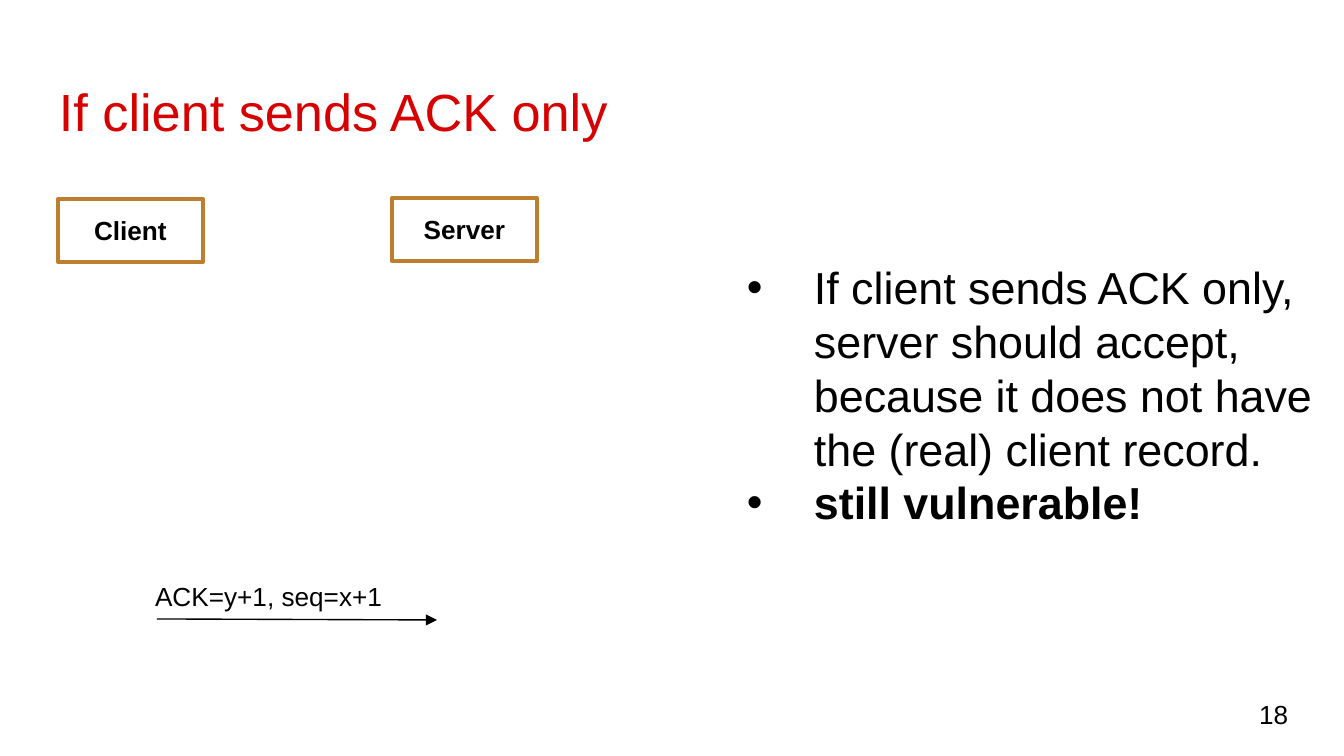
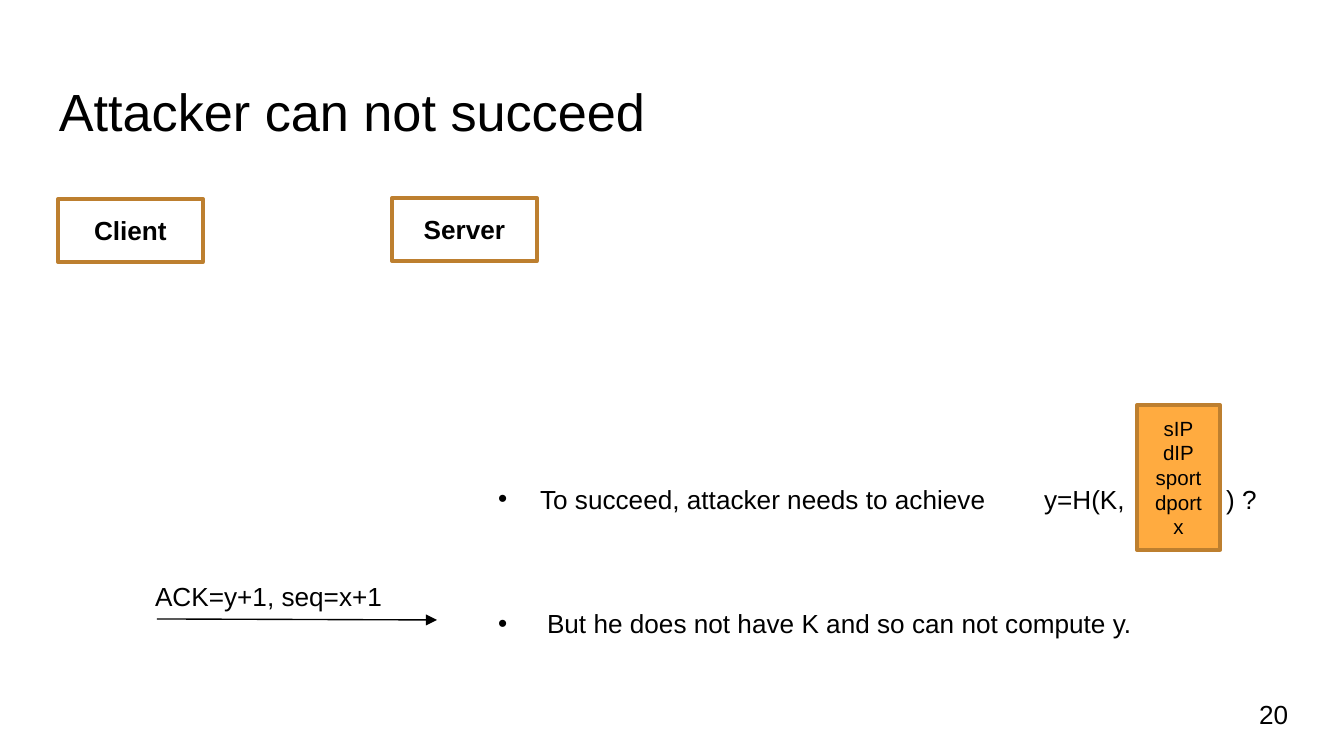
from dataclasses import dataclass

from lxml.etree import SubElement
from pptx import Presentation
from pptx.dml.color import RGBColor
from pptx.enum.shapes import MSO_CONNECTOR, MSO_SHAPE
from pptx.enum.text import MSO_ANCHOR, PP_ALIGN
from pptx.oxml.ns import qn
from pptx.util import Emu, Pt


@dataclass(frozen=True)
class Theme:
    font: str = "Arial"
    ink: str = "000000"
    alert: str = "D60000"
    paper: str = "FFFFFF"
    border: str = "BD7F2F"
    packet: str = "FFAB40"
    title_size: int = 28
    body_size: int = 24
    label_size: int = 14
    field_size: int = 11
    border_width: float = 2
    arrow_width: float = 0.75


THEME = Theme()
PIXEL = 914400 / 134.4
SLIDE_SIZE = (1344, 756)
WIDE_INSET = 13
NARROW_INSET = 7

HOSTS = [("Client", (58, 199, 145, 63)), ("Server", (392, 198, 145, 63))]
ACK_LABEL = ("ACK=y+1, seq=x+1", (142, 573, 270, 46))
ACK_ARROW = (157, 619, 437, 620)
NUMBER_PLACE = (1246, 685, 81, 58)

VULNERABLE = {
    "title": "If client sends ACK only",
    "title_place": (46, 66, 1203, 85),
    "title_color": THEME.alert,
    "number": "18",
    "bullets_place": (734, 247, 599, 341),
    "inset": WIDE_INSET,
    "size": THEME.body_size,
    "bullets": [
        {
            "text": "If client sends ACK only, server should accept, "
            "because it does not have the (real) client record.",
            "margin": 67,
            "hanging": 67,
        },
        {"text": "still vulnerable!", "margin": 67, "hanging": 67, "bold": True},
    ],
}
PROTECTED = {
    "title": "Attacker can not succeed",
    "title_place": (46, 66, 1253, 85),
    "title_color": THEME.ink,
    "number": "20",
    "bullets_place": (485, 476, 845, 172),
    "inset": NARROW_INSET,
    "size": THEME.label_size,
    "bullets": [
        {"text": "To succeed, attacker needs to achieve", "margin": 42, "hanging": 42},
        {
            "text": "But he does not have K and so can not compute y.",
            "margin": 49,
            "hanging": 49,
            "space_before": 50,
        },
    ],
}
FORMULA = ({"text": "y=H(K,\t) ?", "tab": 182}, (1031, 476, 250, 45))
HASHED_FIELDS = (["sIP", "dIP", "sport", "dport", "x"], (1137, 405, 83, 145))


def px(length):
    return Emu(round(length * PIXEL))


def place_of(place):
    return [px(length) for length in place]


def apply_format(target, values):
    for name, value in values.items():
        setattr(target, name, value)


def add_marks(paragraph, item):
    properties = paragraph._p.get_or_add_pPr()
    if "hanging" in item:
        properties.set("marL", str(px(item["margin"])))
        properties.set("indent", str(-px(item["hanging"])))
        SubElement(properties, qn("a:buFont"), typeface=THEME.font)
        SubElement(properties, qn("a:buChar"), char="•")
    if "tab" in item:
        tabs = SubElement(properties, qn("a:tabLst"))
        SubElement(tabs, qn("a:tab"), pos=str(px(item["tab"])), algn="l")


def write(shape, items, size, color=THEME.ink, bold=False, inset=NARROW_INSET,
          align=PP_ALIGN.LEFT, anchor=MSO_ANCHOR.TOP):
    frame = shape.text_frame
    apply_format(frame, {
        "word_wrap": True,
        "vertical_anchor": anchor,
        "margin_left": px(WIDE_INSET),
        "margin_right": px(WIDE_INSET),
        "margin_top": px(inset),
        "margin_bottom": px(inset),
    })
    for index, item in enumerate(items):
        paragraph = frame.paragraphs[0] if index == 0 else frame.add_paragraph()
        paragraph.alignment = align
        if "space_before" in item:
            paragraph.space_before = Pt(item["space_before"])
        add_marks(paragraph, item)
        run = paragraph.add_run()
        run.text = item["text"]
        apply_format(run.font, {
            "name": THEME.font,
            "size": Pt(size),
            "bold": item.get("bold", bold),
        })
        run.font.color.rgb = RGBColor.from_string(color)


def add_text(slide, place, items, size, **formats):
    write(slide.shapes.add_textbox(*place_of(place)), items, size, **formats)


def add_box(slide, place, lines, size, fill, bold=False):
    shape = slide.shapes.add_shape(MSO_SHAPE.RECTANGLE, *place_of(place))
    shape.shadow.inherit = False
    shape.fill.solid()
    shape.fill.fore_color.rgb = RGBColor.from_string(fill)
    shape.line.color.rgb = RGBColor.from_string(THEME.border)
    shape.line.width = Pt(THEME.border_width)
    write(shape, [{"text": line} for line in lines], size, bold=bold,
          align=PP_ALIGN.CENTER, anchor=MSO_ANCHOR.MIDDLE)


def add_arrow(slide, ends):
    arrow = slide.shapes.add_connector(MSO_CONNECTOR.STRAIGHT, *place_of(ends))
    arrow.line.color.rgb = RGBColor.from_string(THEME.ink)
    arrow.line.width = Pt(THEME.arrow_width)
    SubElement(arrow.line._get_or_add_ln(), qn("a:tailEnd"), type="triangle")
    SubElement(arrow._element.spPr, qn("a:effectLst"))


def add_handshake_slide(presentation, content):
    slide = presentation.slides.add_slide(presentation.slide_layouts[6])
    slide.background.fill.solid()
    slide.background.fill.fore_color.rgb = RGBColor.from_string(THEME.paper)
    add_text(slide, content["title_place"], [{"text": content["title"]}],
             THEME.title_size, color=content["title_color"], inset=WIDE_INSET)
    for name, place in HOSTS:
        add_box(slide, place, [name], THEME.label_size, THEME.paper, bold=True)
    add_arrow(slide, ACK_ARROW)
    label, place = ACK_LABEL
    add_text(slide, place, [{"text": label}], THEME.label_size)
    add_text(slide, content["bullets_place"], content["bullets"],
             content["size"], inset=content["inset"])
    add_text(slide, NUMBER_PLACE, [{"text": content["number"]}],
             THEME.label_size, inset=WIDE_INSET, anchor=MSO_ANCHOR.MIDDLE)
    return slide


def main():
    presentation = Presentation()
    presentation.slide_width, presentation.slide_height = place_of(SLIDE_SIZE)
    add_handshake_slide(presentation, VULNERABLE)
    slide = add_handshake_slide(presentation, PROTECTED)
    formula, place = FORMULA
    add_text(slide, place, [formula], THEME.label_size)
    fields, place = HASHED_FIELDS
    add_box(slide, place, fields, THEME.field_size, THEME.packet)
    presentation.save("out.pptx")


if __name__ == "__main__":
    main()
